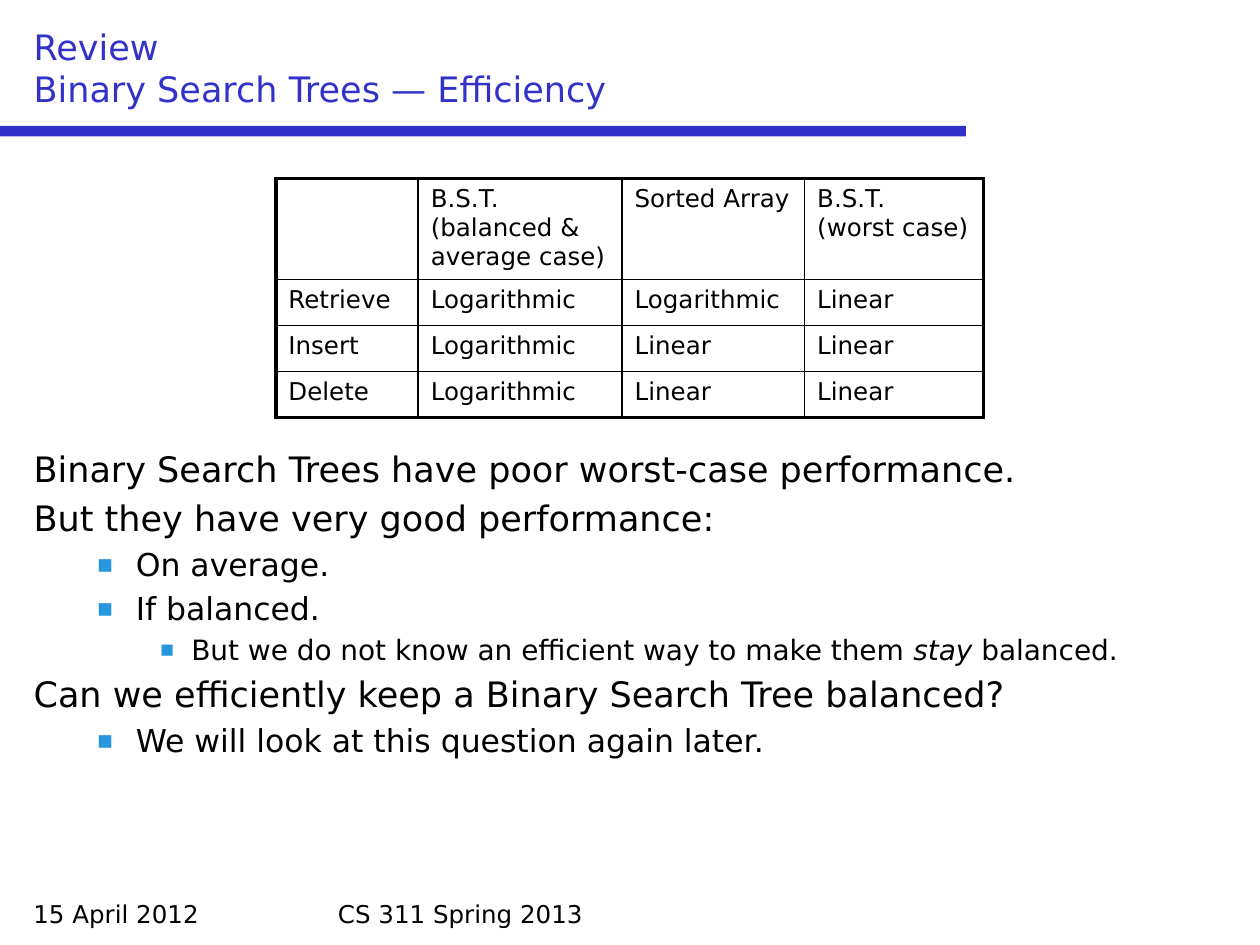
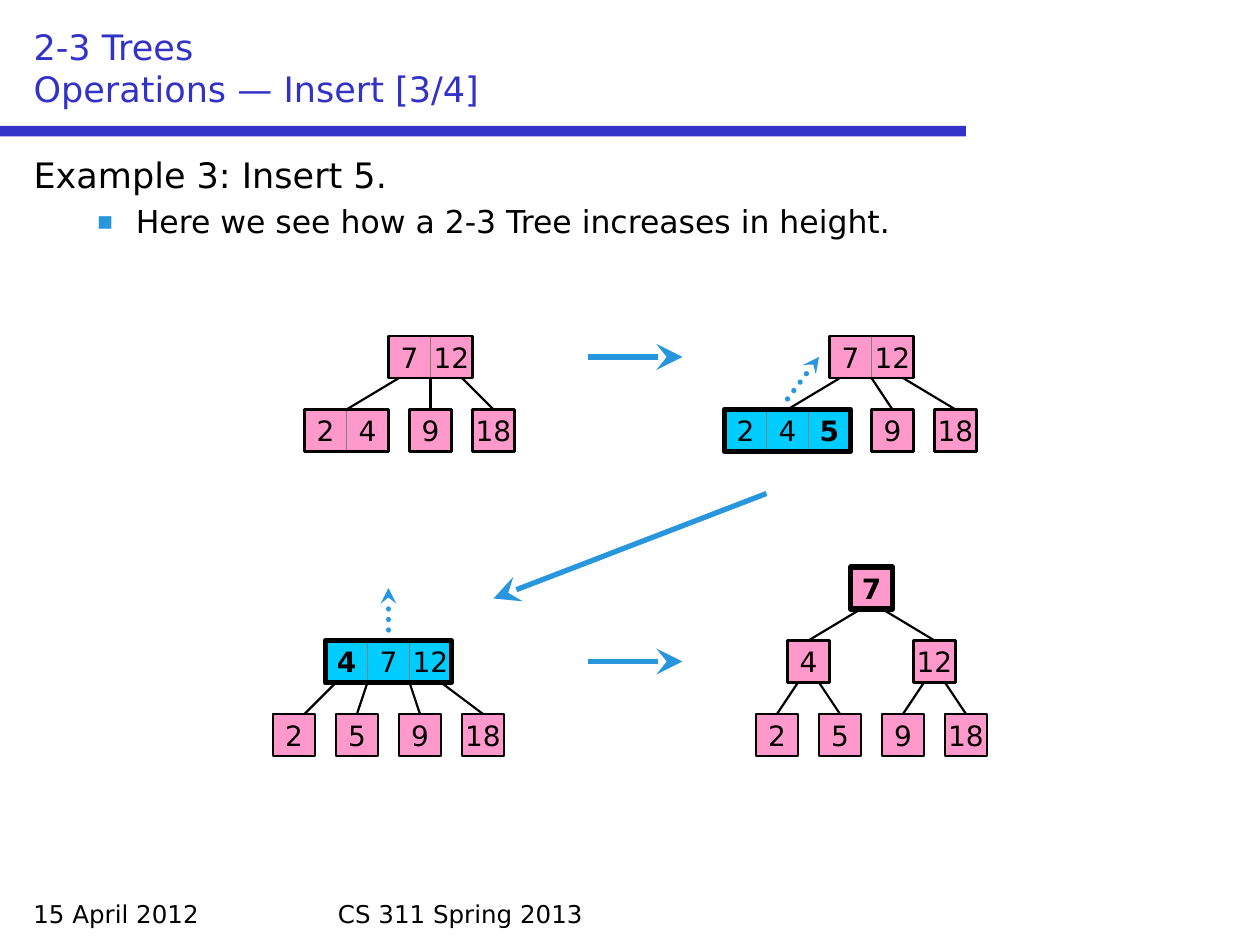
from dataclasses import dataclass

from lxml.etree import SubElement
from pptx import Presentation
from pptx.dml.color import RGBColor
from pptx.enum.dml import MSO_LINE
from pptx.enum.shapes import MSO_CONNECTOR, MSO_SHAPE
from pptx.enum.text import MSO_ANCHOR, MSO_AUTO_SIZE, PP_ALIGN
from pptx.oxml.ns import qn
from pptx.util import Cm, Emu, Pt


@dataclass(frozen=True)
class Theme:
    font: str = "DejaVu Sans"
    title: str = "3232C8"
    accent: str = "2896DC"
    text: str = "000000"
    divider: str = "808080"
    node: str = "FF99CC"
    changed: str = "00CCFF"
    title_size: float = 20
    level_sizes: tuple[float, ...] = (20, 18, 16)
    node_size: float = 16
    small_size: float = 14
    thin: float = 0.75
    normal: float = 1.25
    thick: float = 3
    table_inner: float = 1
    table_outer: float = 2.25


@dataclass(frozen=True)
class Item:
    level: int
    text: str  # asterisks enclose italics


@dataclass(frozen=True)
class Node:
    x: int
    y: int
    keys: tuple[int, ...]
    children: tuple["Node", ...] = ()
    new_key: int | None = None
    overfull: bool = False
    landing: int = 0  # shift of the incoming edge from the node's centre

    @property
    def width(self) -> int:
        return CELL * len(self.keys)


@dataclass(frozen=True)
class Arrow:
    start: tuple[int, int]
    end: tuple[int, int]
    dotted: bool = False


THEME = Theme()
CELL = 4  # side of a key cell in grid steps
INDENTS = ((Cm(0.95), Cm(-0.95)), (Cm(2.06), Cm(-0.79)), (Cm(3.18), Cm(-0.64)))


def grid(steps: float) -> Emu:
    """Twelve grid steps make 2.54 cm."""
    return Emu(round(Cm(2.54) * steps / 12))


def rgb(color: str) -> RGBColor:
    return RGBColor.from_string(color)


def style(p, size: float, color: str = THEME.text) -> None:
    for r in p.runs:
        r.font.name = THEME.font
        r.font.size = Pt(size)
        r.font.color.rgb = rgb(color)


def place(s, x: float, y: float, w: float, h: float) -> None:
    s.left, s.top, s.width, s.height = map(grid, (x, y, w, h))


# Shared slide parts

def set_bullet(p, level: int) -> None:
    pPr = p._p.get_or_add_pPr()
    margin, indent = INDENTS[level]
    pPr.set("marL", str(margin))
    pPr.set("indent", str(indent))
    if level == 0:
        SubElement(pPr, qn("a:buNone"))
        return
    color = SubElement(pPr, qn("a:buClr"))
    SubElement(color, qn("a:srgbClr"), val=THEME.accent)
    SubElement(pPr, qn("a:buSzPct"), val="80000")
    SubElement(pPr, qn("a:buFont"), typeface=THEME.font)
    SubElement(pPr, qn("a:buChar"), char="▪")


def fill_body(body, items: list[Item], top: float) -> None:
    place(body, 2, top, 116, 84 - top)
    tf = body.text_frame
    tf.auto_size = MSO_AUTO_SIZE.NONE
    for i, item in enumerate(items):
        p = tf.paragraphs[0] if i == 0 else tf.add_paragraph()
        p.level = item.level
        if i == 0:
            p.space_before = Pt(0)
        set_bullet(p, item.level)
        for j, part in enumerate(item.text.split("*")):
            r = p.add_run()
            r.text = part
            r.font.italic = j % 2 == 1
        style(p, THEME.level_sizes[item.level])


def add_footer(slide, x: float, w: float, text: str) -> None:
    s = slide.shapes.add_textbox(grid(x), grid(85), grid(w), grid(4))
    s.text_frame.word_wrap = True
    s.text_frame.text = text
    style(s.text_frame.paragraphs[0], THEME.small_size)


def add_slide(prs, title: str, items: list[Item], body_top: float = 14):
    slide = prs.slides.add_slide(prs.slide_layouts[1])
    band = add_box(slide, 0, 12, 92, 1, THEME.title)
    band.line.fill.background()
    add_footer(slide, 2, 28, "15 April 2012")
    add_footer(slide, 31, 58, "CS 311 Spring 2013")

    s = slide.shapes.title
    place(s, 2, 2, 116, 9)
    tf = s.text_frame
    tf.auto_size = MSO_AUTO_SIZE.NONE
    tf.vertical_anchor = MSO_ANCHOR.BOTTOM
    tf.text = title
    p = tf.paragraphs[0]
    p.alignment = PP_ALIGN.LEFT
    style(p, THEME.title_size, THEME.title)

    fill_body(slide.placeholders[1], items, body_top)
    return slide


def add_box(slide, x: float, y: float, w: float, h: float, fill: str | None = None,
            line: str = THEME.text, weight: float = THEME.normal):
    s = slide.shapes.add_shape(MSO_SHAPE.RECTANGLE, *map(grid, (x, y, w, h)))
    s.shadow.inherit = False
    if fill:
        s.fill.solid()
        s.fill.fore_color.rgb = rgb(fill)
    else:
        s.fill.background()
    s.line.color.rgb = rgb(line)
    s.line.width = Pt(weight)
    return s


def add_line(slide, start: tuple[int, int], end: tuple[int, int],
             color: str = THEME.text, weight: float = THEME.normal):
    s = slide.shapes.add_connector(
        MSO_CONNECTOR.STRAIGHT, *map(grid, (*start, *end)))
    s.line.color.rgb = rgb(color)
    s.line.width = Pt(weight)
    SubElement(s._element.spPr, qn("a:effectLst"))
    return s


# Table

def set_border(cell, side: str, weight: float) -> None:
    tcPr = cell._tc.get_or_add_tcPr()
    ln = SubElement(tcPr, qn(f"a:ln{side}"), w=str(Pt(weight)))
    fill = SubElement(ln, qn("a:solidFill"))
    SubElement(fill, qn("a:srgbClr"), val=THEME.text)


def add_efficiency_table(slide, rows: list[tuple[str, ...]]) -> None:
    widths = (Cm(2.87), Cm(4.11), Cm(3.68), Cm(3.61))
    heights = (Cm(2.03),) + (Cm(0.93),) * (len(rows) - 1)
    table = slide.shapes.add_table(len(rows), len(widths), Cm(5.56), grid(17),
                                   sum(widths), sum(heights)).table
    table.first_row = table.horz_banding = False
    for column, width in zip(table.columns, widths):
        column.width = width
    for i, (row, height) in enumerate(zip(rows, heights)):
        table.rows[i].height = height
        for j, text in enumerate(row):
            cell = table.cell(i, j)
            cell.text = text
            style(cell.text_frame.paragraphs[0], THEME.small_size)
            outer = {"L": j == 0, "R": j == len(row) - 1,
                     "T": i == 0, "B": i == len(rows) - 1}
            for side, at_edge in outer.items():
                set_border(cell, side, THEME.table_outer if at_edge else THEME.table_inner)
            cell.fill.background()


# Tree diagrams

def add_key(slide, node: Node, i: int) -> None:
    key = node.keys[i]
    single = len(node.keys) == 1
    is_new = key == node.new_key
    weight = THEME.thin if not single else THEME.thick if is_new else THEME.normal
    s = add_box(slide, node.x + CELL * i, node.y, CELL, CELL,
                THEME.changed if node.overfull else THEME.node,
                THEME.text if single else THEME.divider, weight)
    tf = s.text_frame
    tf.word_wrap = False
    tf.vertical_anchor = MSO_ANCHOR.MIDDLE
    tf.text = str(key)
    p = tf.paragraphs[0]
    p.alignment = PP_ALIGN.CENTER
    style(p, THEME.node_size)
    p.runs[0].font.bold = is_new


def add_tree(slide, node: Node) -> None:
    for i, child in enumerate(node.children):
        # Edges leave evenly, one step inside the node's corners
        step = (node.width - 2) / (len(node.children) - 1)
        start = (node.x + 1 + round(i * step), node.y + CELL)
        end = (child.x + child.width // 2 + child.landing, child.y)
        add_line(slide, start, end)
        add_tree(slide, child)
    for i in range(len(node.keys)):
        add_key(slide, node, i)
    if len(node.keys) > 1:
        add_box(slide, node.x, node.y, node.width, CELL,
                weight=THEME.thick if node.overfull else THEME.normal)


def add_arrow(slide, arrow: Arrow) -> None:
    s = add_line(slide, arrow.start, arrow.end, THEME.accent, THEME.thick)
    ln = s.line._get_or_add_ln()
    if arrow.dotted:
        s.line.dash_style = MSO_LINE.ROUND_DOT
        ln.set("cap", "rnd")
    size = "med" if arrow.dotted else "lg"
    SubElement(ln, qn("a:tailEnd"), type="stealth", w=size, len=size)


def leaves(y: int, keys: tuple[int, ...], x: int) -> tuple[Node, ...]:
    return tuple(Node(x + 6 * i, y, (key,)) for i, key in enumerate(keys))


# Slides

def build_efficiency(prs) -> None:
    slide = add_slide(prs, "Review\vBinary Search Trees — Efficiency", [
        Item(0, "Binary Search Trees have poor worst-case performance."),
        Item(0, "But they have very good performance:"),
        Item(1, "On average."),
        Item(1, "If balanced."),
        Item(2, "But we do not know an efficient way to make them *stay* balanced."),
        Item(0, "Can we efficiently keep a Binary Search Tree balanced?"),
        Item(1, "We will look at this question again later."),
    ], body_top=42)
    add_efficiency_table(slide, [
        ("", "B.S.T.\v(balanced & average case)", "Sorted Array", "B.S.T.\v(worst case)"),
        ("Retrieve", "Logarithmic", "Logarithmic", "Linear"),
        ("Insert", "Logarithmic", "Linear", "Linear"),
        ("Delete", "Logarithmic", "Linear", "Linear"),
    ])


def build_insert(prs) -> None:
    slide = add_slide(prs, "2-3 Trees\vOperations — Insert [3/4]", [
        Item(0, "Example 3: Insert 5."),
        Item(1, "Here we see how a 2-3 Tree increases in height."),
    ])
    before = Node(37, 32, (7, 12), (Node(29, 39, (2, 4)), *leaves(39, (9, 18), 39)))
    leaf_overfull = Node(79, 32, (7, 12), (
        Node(69, 39, (2, 4, 5), new_key=5, overfull=True), *leaves(39, (9, 18), 83)))
    root_overfull = Node(31, 61, (4, 7, 12), (
        Node(26, 68, (2,), landing=1), *leaves(68, (5, 9, 18), 32)),
        new_key=4, overfull=True)
    after = Node(81, 54, (7,), (
        Node(75, 61, (4,), leaves(68, (2, 5), 72)),
        Node(87, 61, (12,), leaves(68, (9, 18), 84))), new_key=7)
    for tree in (before, leaf_overfull, root_overfull, after):
        add_tree(slide, tree)
    for arrow in (Arrow((56, 34), (65, 34)), Arrow((73, 47), (47, 57)),
                  Arrow((56, 63), (65, 63)),
                  Arrow((75, 38), (78, 34), dotted=True),
                  Arrow((37, 60), (37, 56), dotted=True)):
        add_arrow(slide, arrow)


def main() -> None:
    prs = Presentation()
    prs.slide_width, prs.slide_height = Cm(25.4), Cm(19.05)
    build_efficiency(prs)
    build_insert(prs)
    prs.save("out.pptx")


if __name__ == "__main__":
    main()
